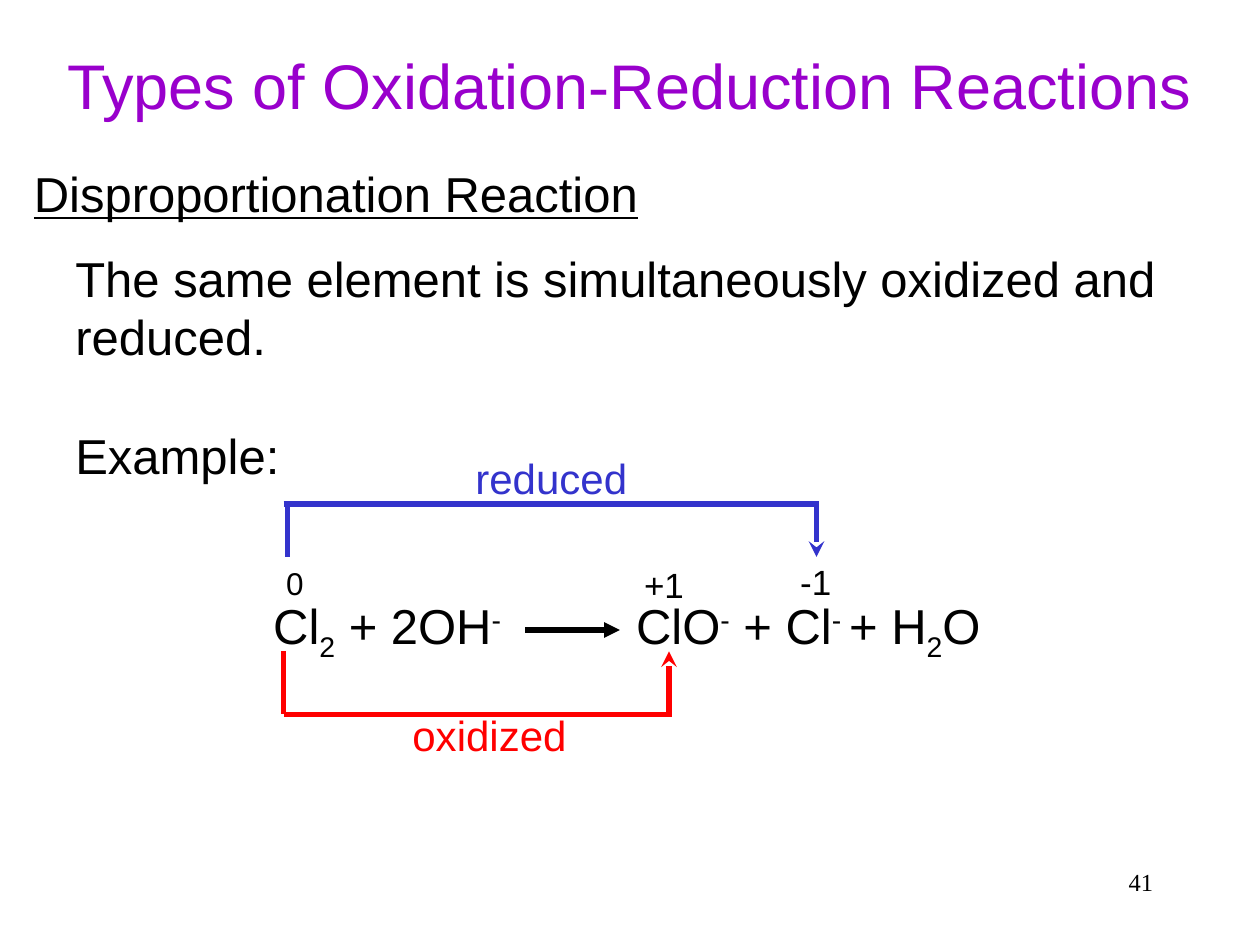
"""Build a slide on disproportionation as a type of oxidation-reduction reaction."""
from dataclasses import dataclass
from typing import Any, Optional

from lxml import etree
from pptx import Presentation
from pptx import util as u
from pptx.dml.color import RGBColor
from pptx.enum import shapes, text
from pptx.oxml.ns import qn


@dataclass(frozen=True)
class Theme:
    purple: str = "9900CC"
    black: str = "000000"
    red: str = "FF0000"
    blue: str = "3333CC"
    font: str = "Arial"
    number_font: str = "Times New Roman"
    title: int = 36
    body: int = 28
    label: int = 24
    charge: int = 20
    zero: int = 18
    number: int = 14
    line: int = 3


THEME = Theme()
ALIGN = text.PP_ALIGN
SUB, SUPER = -25000, 30000


@dataclass(frozen=True)
class Run:
    words: str
    baseline: int = 0


@dataclass(frozen=True)
class Label:
    box: tuple[float, float, float, float]
    paragraphs: tuple[tuple[Run, ...], ...]
    size: int
    color: str = THEME.black
    align: Any = ALIGN.LEFT
    font: str = THEME.font
    underline: bool = False
    wrap: bool = False
    gap: int = 0
    tab: Optional[float] = None


@dataclass(frozen=True)
class Line:
    start: tuple[float, float]
    end: tuple[float, float]
    color: str
    head: Optional[str] = None


def one(words: str) -> tuple[tuple[Run, ...], ...]:
    """Return a single paragraph holding a single run."""
    return ((Run(words),),)


EQUATION = (
    Run("Cl"), Run("2", SUB), Run(" + 2OH"), Run("-", SUPER),
    Run("\tClO"), Run("-", SUPER), Run(" + Cl"), Run("- ", SUPER),
    Run("+ H"), Run("2", SUB), Run("O"),
)

LABELS = (
    Label((7.17, 6.83, 2.08, 0.5), one("41"), THEME.number, align=ALIGN.RIGHT,
          font=THEME.number_font, wrap=True),
    Label((0.5, 1.92, 8.79, 1.97),
          one("The same element is simultaneously oxidized and reduced.") + one("Example:"),
          THEME.body, wrap=True, gap=34),
    Label((0.17, 1.25, 5.01, 0.57), one("Disproportionation Reaction"), THEME.body,
          underline=True),
    Label((2.07, 4.68, 5.92, 0.57), (EQUATION,), THEME.body, tab=2.88),
    Label((2.17, 4.43, 0.34, 0.4), one("0"), THEME.zero, align=ALIGN.CENTER),
    Label((5.01, 4.42, 0.52, 0.43), one("+1"), THEME.charge, align=ALIGN.CENTER),
    Label((6.25, 4.4, 0.45, 0.43), one("-1"), THEME.charge, align=ALIGN.CENTER),
    Label((3.17, 5.58, 1.43, 0.5), one("oxidized"), THEME.label, THEME.red, ALIGN.CENTER),
    Label((3.67, 3.54, 1.41, 0.5), one("reduced"), THEME.label, THEME.blue, ALIGN.CENTER),
)

LINES = (
    Line((4.17, 5), (4.92, 5), THEME.black, "triangle"),
    Line((2.25, 5.67), (5.33, 5.67), THEME.red),
    Line((2.25, 5.17), (2.25, 5.67), THEME.red),
    Line((5.31, 5.67), (5.31, 5.17), THEME.red, "stealth"),
    Line((2.25, 4), (6.5, 4), THEME.blue),
    Line((2.28, 4.01), (2.28, 4.42), THEME.blue),
    Line((6.48, 4), (6.48, 4.42), THEME.blue, "stealth"),
)


def format_font(font: Any, color: str, **values: Any) -> None:
    """Apply a colour and a dict of format values to a font."""
    for name, value in values.items():
        setattr(font, name, value)
    font.color.rgb = RGBColor.from_string(color)


def add_label(slide: Any, label: Label) -> None:
    """Draw one text box with its paragraphs and runs."""
    shape = slide.shapes.add_textbox(*map(u.Inches, label.box))
    frame = shape.text_frame
    frame.word_wrap = label.wrap
    for index, runs in enumerate(label.paragraphs):
        paragraph = frame.add_paragraph() if index else frame.paragraphs[0]
        paragraph.alignment = label.align
        if index:
            paragraph.space_before = u.Pt(label.gap)
        if label.tab is not None:
            tabs = etree.SubElement(paragraph._p.get_or_add_pPr(), qn("a:tabLst"))
            etree.SubElement(tabs, qn("a:tab"), pos=str(u.Inches(label.tab)), algn="l")
        for item in runs:
            run = paragraph.add_run()
            run.text = item.words
            format_font(run.font, label.color, name=label.font, size=u.Pt(label.size),
                        underline=label.underline)
            if item.baseline:
                run._r.get_or_add_rPr().set("baseline", str(item.baseline))


def add_line(slide: Any, line: Line) -> None:
    """Draw one straight line, with an arrowhead at its end if it has one."""
    connector = slide.shapes.add_connector(
        shapes.MSO_CONNECTOR.STRAIGHT, *map(u.Inches, line.start + line.end))
    connector.line.color.rgb = RGBColor.from_string(line.color)
    connector.line.width = u.Pt(THEME.line)
    if line.head:
        etree.SubElement(connector.line._get_or_add_ln(), qn("a:tailEnd"), type=line.head)
    etree.SubElement(connector._element.spPr, qn("a:effectLst"))


def add_title(slide: Any, words: str) -> None:
    """Place and format the title placeholder."""
    title = slide.shapes.title
    place = {"left": 0.33, "top": 0.17, "width": 9.33, "height": 1}
    for name, value in place.items():
        setattr(title, name, u.Inches(value))
    title.text_frame.text = words
    title.text_frame.vertical_anchor = text.MSO_ANCHOR.MIDDLE
    paragraph = title.text_frame.paragraphs[0]
    paragraph.alignment = ALIGN.CENTER
    format_font(paragraph.runs[0].font, THEME.purple, name=THEME.font,
                size=u.Pt(THEME.title))


def main() -> None:
    """Build and save the presentation."""
    presentation = Presentation()
    presentation.slide_width, presentation.slide_height = u.Inches(10), u.Inches(7.5)
    slide = presentation.slides.add_slide(presentation.slide_layouts[5])
    add_title(slide, "Types of Oxidation-Reduction Reactions")
    for label in LABELS:
        add_label(slide, label)
    for line in LINES:
        add_line(slide, line)
    presentation.save("out.pptx")


if __name__ == "__main__":
    main()
